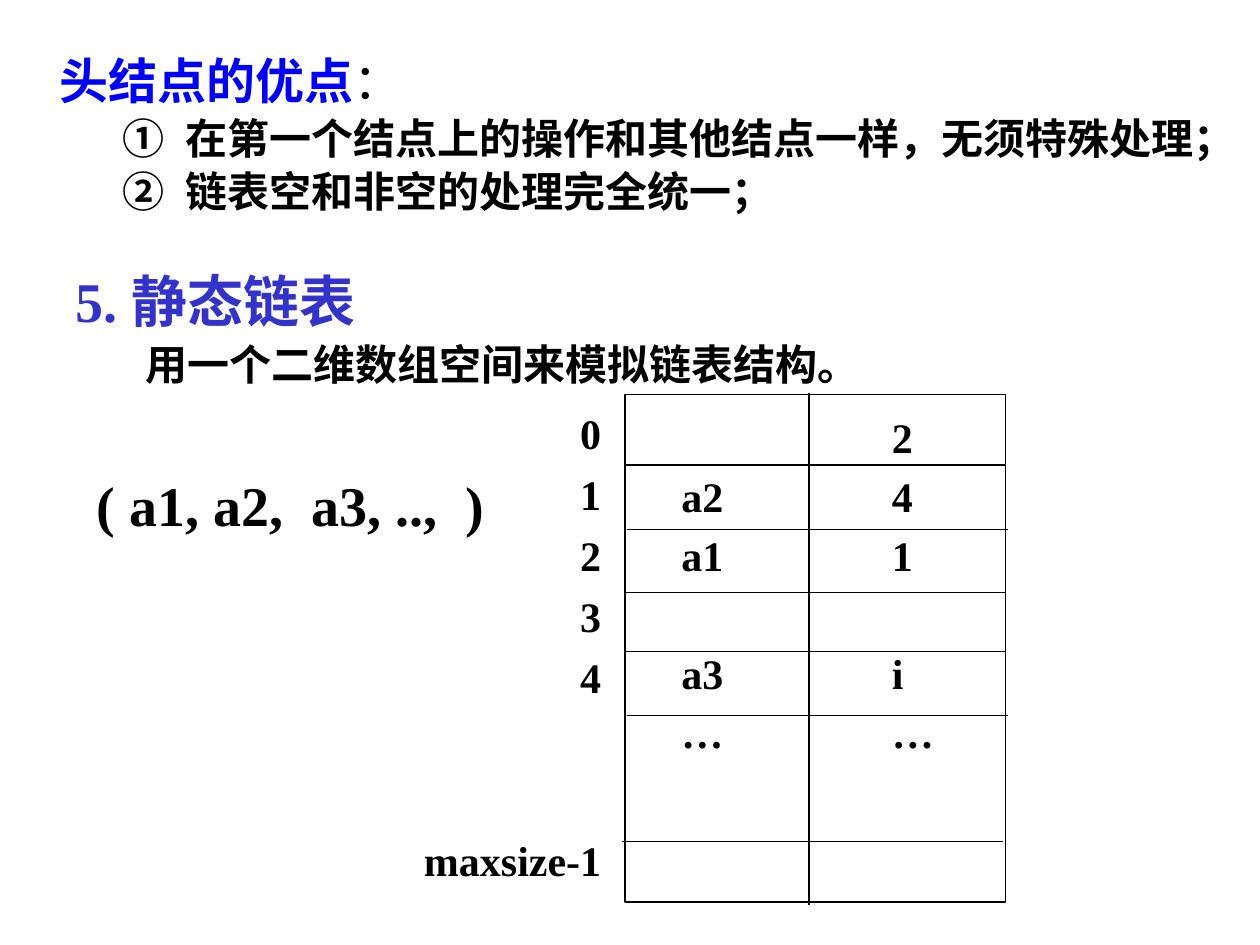
from lxml.etree import SubElement
from pptx import Presentation
from pptx.dml.color import RGBColor
from pptx.enum.shapes import MSO_CONNECTOR as Connector, MSO_SHAPE as Shape
from pptx.enum.text import MSO_ANCHOR as Anchor, MSO_AUTO_SIZE as AutoSize, PP_ALIGN as Align
from pptx.oxml.ns import qn
from pptx.util import Inches, Pt

COLORS = {"text": "000000", "heading": "3333CC", "lead": "0000FF", "line": "000000"}
SERIF, SANS = "Times New Roman", "Noto Sans CJK SC"

deck = Presentation()
deck.slide_width, deck.slide_height = Inches(10), Inches(7.5)
slide = deck.slides.add_slide(deck.slide_layouts[5])
shapes = slide.shapes


def area(left, top, width, height):
    across, down = deck.slide_width / 100, deck.slide_height / 100
    return [int(left * across), int(top * down), int(width * across), int(height * down)]


def write(paragraph, words, size=24, color="text", font=SERIF, bold=True):
    run = paragraph.add_run()
    run.text = words
    run.font.size = Pt(size)
    run.font.bold = bold
    run.font.name = font
    run.font.color.rgb = RGBColor.from_string(COLORS[color])
    SubElement(run.font._element, qn("a:ea"), typeface=SANS)


heading = shapes.title
heading.left, heading.top, heading.width, heading.height = area(5, 27.5, 36.7, 8.4)
heading.text_frame.auto_size = AutoSize.NONE
heading.text_frame.vertical_anchor = Anchor.TOP
heading_line = heading.text_frame.paragraphs[0]
heading_line.alignment = Align.LEFT
heading_line.line_spacing = Pt(38.4)
write(heading_line, "5. 静态链表", 32, "heading")

for place, words, size in [
    ((10.6, 35.2, 78.5, 6.7), "用一个二维数组空间来模拟链表结构。", 24),
    ((6.7, 49.15, 34.4, 8.4), "( a1, a2,  a3, ..,  )", 32),
]:
    statement = shapes.add_textbox(*area(*place)).text_frame
    statement.word_wrap = True
    statement.paragraphs[0].line_spacing = Pt(size * 1.2)
    write(statement.paragraphs[0], words, size)

benefits = shapes.add_textbox(*area(3.75, 4.75, 102.9, 19.3)).text_frame
benefits.word_wrap = True
lead = benefits.paragraphs[0]
lead.space_before, lead.line_spacing = Pt(2.8), Pt(33)
write(lead, "头结点的优点", 28, "lead", SANS)
write(lead, "：", 28, "text", SANS, False)
for words in ["在第一个结点上的操作和其他结点一样，无须特殊处理；", "链表空和非空的处理完全统一；"]:
    benefit = benefits.add_paragraph()
    benefit.level = 1
    benefit.space_before, benefit.line_spacing = Pt(2.4), Pt(28.2)
    write(benefit, words, font=SANS)
    layout = benefit._p.get_or_add_pPr()
    layout.set("marL", str(Inches(1)))
    layout.set("indent", str(-Inches(0.5)))
    SubElement(layout, qn("a:buFont"), typeface=SANS)
    SubElement(layout, qn("a:buAutoNum"), type="circleNumDbPlain")

indices = shapes.add_textbox(*area(26, 42.5, 22.7, 53.3)).text_frame
indices.word_wrap = True
for words, gap in [("0", 0), ("1", 6), ("2", 6), ("3", 6), ("4", 6), ("maxsize-1", 75.8)]:
    index = indices.paragraphs[0] if words == "0" else indices.add_paragraph()
    index.alignment = Align.RIGHT
    index.space_before = Pt(gap)
    write(index, words)

nodes = shapes.add_textbox(*area(49.8, 42.93, 34, 38.67)).text_frame
nodes.word_wrap = True
for r, (element, following, gap) in enumerate([
    ("", "2", 0), ("a2", "4", 4.8), ("a1", "1", 4.8), ("a3", "i", 38.5), ("…", "…", 4.8),
]):
    node = nodes.add_paragraph() if r else nodes.paragraphs[0]
    node.space_before = Pt(gap)
    stops = SubElement(node._p.get_or_add_pPr(), qn("a:tabLst"))
    for stop in [0.33, 2]:
        SubElement(stops, qn("a:tab"), pos=str(Inches(stop)), algn="l")
    write(node, f"\t{element}\t{following}")

array = shapes.add_shape(Shape.RECTANGLE, *area(49.6, 41.73, 30.2, 53.74))
array.shadow.inherit = False
array.fill.background()
array.line.color.rgb = RGBColor.from_string(COLORS["line"])
array.line.width = Pt(0.75)

row_lines = [(49.6, 49.2), (49.8, 56), (49.6, 62.67), (49.6, 68.93), (49.8, 75.73), (49.4, 89.07)]
dividers = [(left, top, left + 30.2, top) for left, top in row_lines]
dividers.append((64.2, 41.6, 64.2, 95.73))
for ends in dividers:
    divider = shapes.add_connector(Connector.STRAIGHT, *area(*ends))
    divider.line.color.rgb = RGBColor.from_string(COLORS["line"])
    divider.line.width = Pt(0.75)
    SubElement(divider._element.spPr, qn("a:effectLst"))

deck.save("out.pptx")
